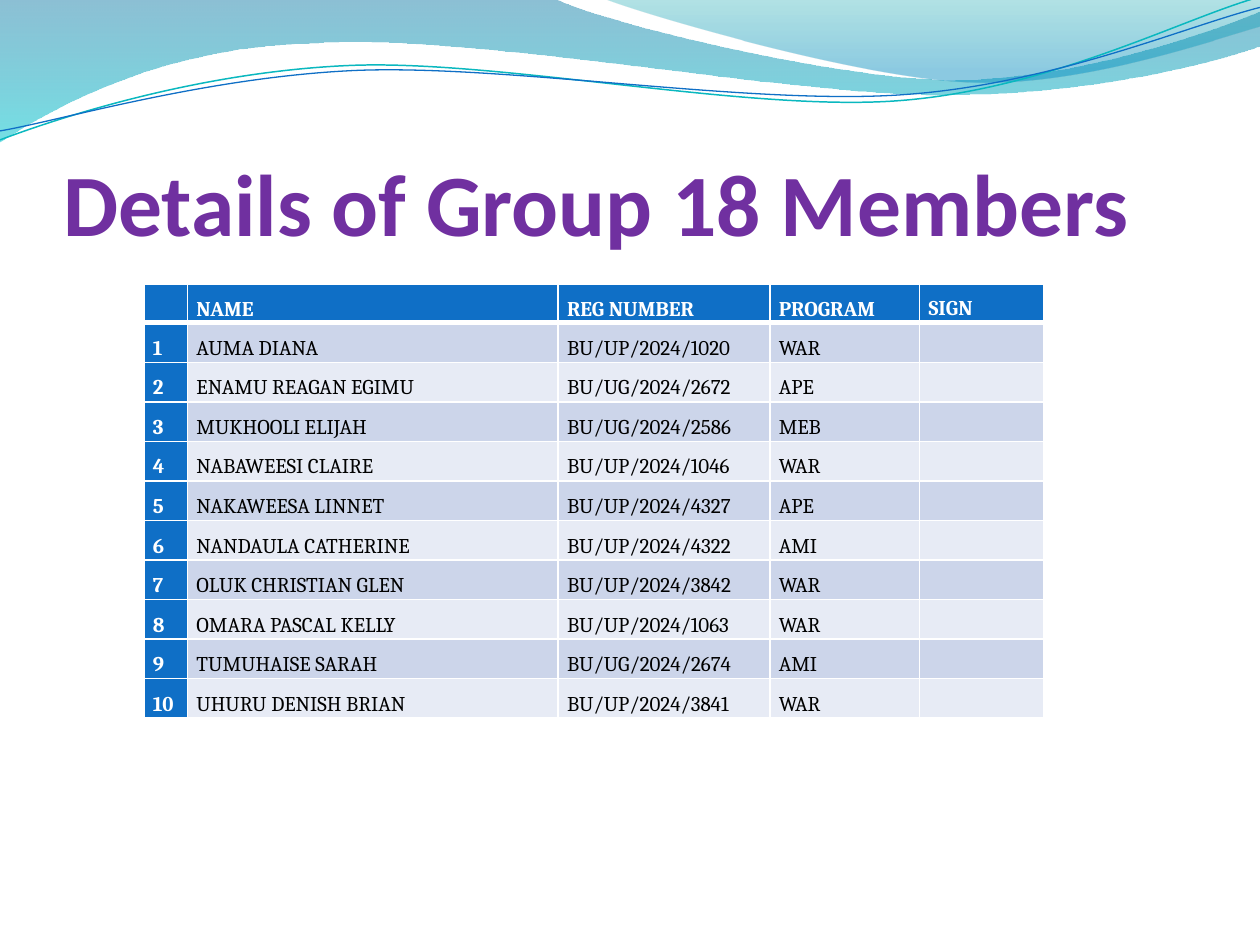
from dataclasses import dataclass
from math import cos, radians, sin
from typing import NamedTuple

from lxml import etree
from pptx import Presentation
from pptx.dml.color import RGBColor
from pptx.enum.text import MSO_ANCHOR, MSO_AUTO_SIZE, PP_ALIGN
from pptx.oxml.ns import qn
from pptx.util import Cm, Pt

TOP, MIDDLE, BOTTOM = MSO_ANCHOR.TOP, MSO_ANCHOR.MIDDLE, MSO_ANCHOR.BOTTOM
LEFT, JUSTIFY = PP_ALIGN.LEFT, PP_ALIGN.JUSTIFY
NO_AUTOFIT = MSO_AUTO_SIZE.NONE
TITLE_ONLY = 5


@dataclass(frozen=True)
class Theme:
    title_font: str = "Calibri"
    table_font: str = "Cambria"
    title_size: float = 50
    table_size: float = 12
    purple: str = "7030A0"
    blue: str = "0F6FC6"
    teal: str = "0AB8BF"
    band_dark: str = "CCD5EA"
    band_light: str = "E7EBF5"
    white: str = "FFFFFF"
    black: str = "000000"
    thin_border: float = 1
    header_border: float = 3


THEME = Theme()


class Stop(NamedTuple):
    position: float
    color: str
    opacity: int


class Wave(NamedTuple):
    start: tuple
    segments: list
    stops: tuple


class Ripple(NamedTuple):
    start: tuple
    segments: list
    center: tuple
    color: str
    width: float


class Member(NamedTuple):
    name: str
    reg_number: str
    program: str


WAVES = [
    Wave((0, 0), [
        [(11.18, -0.03)],
        [(12.09, 0.43), (16.87, 1.6), (19.25, 1.6)],
        [(21.67, 1.6), (24.33, 0.66), (25.4, 0.23)],
        [(25.43, 0.91)],
        [(24.97, 1.12), (22.1, 1.93), (18.95, 1.91)],
        [(15.8, 1.91), (9.7, 0.71), (6.53, 0.86)],
        [(3.28, 0.91), (1.17, 2.11), (-0.03, 2.87)],
        [(0, 0)],
    ], (Stop(0, "0074A1", 45), Stop(1, "00C6CF", 55))),
    Wave((12.17, -0.03), [
        [(12.93, 0.28), (17.32, 1.57), (19.53, 1.65)],
        [(21.74, 1.75), (24.41, 0.81), (25.4, 0.53)],
        [(25.4, 0)],
        [(12.17, -0.03)],
    ], (Stop(0, "00A1A9", 30), Stop(0.8, "008BBF", 45))),
]

RIPPLE_TILT = 2.7
RIPPLES = [
    Ripple((0, 2.82), [
        [(1.22, 2.36), (4.01, 1.45), (7.04, 1.32)],
        [(10.03, 1.19), (15.06, 2.26), (18.11, 2.03)],
        [(21.16, 1.8), (23.83, 0.38), (25.35, -0.05)],
    ], (12.67, 1.46), THEME.teal, 0.85),
    Ripple((0, 2.64), [
        [(1.19, 2.44), (4.17, 1.55), (7.19, 1.42)],
        [(10.24, 1.3), (15.16, 2.13), (18.21, 1.91)],
        [(21.23, 1.7), (23.9, 0.53), (25.4, 0.15)],
    ], (12.69, 1.5), THEME.blue, 0.75),
]

HEADINGS = ["", "NAME", "REG NUMBER", "PROGRAM", "SIGN"]
COLUMN_WIDTHS = [0.88, 7.47, 4.27, 3.02, 2.51]
MEMBERS = [
    Member("AUMA DIANA", "BU/UP/2024/1020", "WAR"),
    Member("ENAMU REAGAN EGIMU", "BU/UG/2024/2672", "APE"),
    Member("MUKHOOLI ELIJAH", "BU/UG/2024/2586", "MEB"),
    Member("NABAWEESI CLAIRE", "BU/UP/2024/1046", "WAR"),
    Member("NAKAWEESA LINNET", "BU/UP/2024/4327", "APE"),
    Member("NANDAULA CATHERINE", "BU/UP/2024/4322", "AMI"),
    Member("OLUK CHRISTIAN GLEN", "BU/UP/2024/3842", "WAR"),
    Member("OMARA PASCAL KELLY", "BU/UP/2024/1063", "WAR"),
    Member("TUMUHAISE SARAH", "BU/UG/2024/2674", "AMI"),
    Member("UHURU DENISH BRIAN", "BU/UP/2024/3841", "WAR"),
]
TABLE_HEIGHT, HEADER_HEIGHT = 8.73, 0.76
MEMBER_HEIGHT = (TABLE_HEIGHT - HEADER_HEIGHT) / len(MEMBERS)


def write_text(frame, text: str, *, font: str, size: float, color: str,
               bold: bool = False, align=LEFT, spacing: float | None = None) -> None:
    paragraph = frame.paragraphs[0]
    paragraph.alignment = align
    paragraph.line_spacing = spacing
    run = paragraph.add_run()
    run.text = text
    run.font.name = font
    run.font.size = Pt(size)
    run.font.bold = bold
    run.font.color.rgb = RGBColor.from_string(color)


def turn(point: tuple, center: tuple, degrees: float) -> tuple:
    dx, dy = point[0] - center[0], point[1] - center[1]
    cosine, sine = cos(radians(degrees)), sin(radians(degrees))
    return center[0] + dx * cosine - dy * sine, center[1] + dx * sine + dy * cosine


def add_outline(slide, start: tuple, segments: list, close: bool):
    builder = slide.shapes.build_freeform(Cm(start[0]), Cm(start[1]))
    corners = [(Cm(x), Cm(y)) for segment in segments for x, y in segment]
    builder.add_line_segments(corners, close=close)
    outline = builder.convert_to_shape()
    outline.shadow.inherit = False
    strokes = iter(list(outline._element.iter(qn("a:lnTo"))))
    for segment in segments:
        parts = [next(strokes) for _ in segment]
        if len(parts) == 3:
            curve = etree.Element(qn("a:cubicBezTo"))
            parts[0].addprevious(curve)
            for part in parts:
                curve.append(part[0])
                part.getparent().remove(part)
    return outline


def add_wave(slide, wave: Wave) -> None:
    outline = add_outline(slide, wave.start, wave.segments, close=True)
    outline.line.fill.background()
    outline.fill.gradient()
    outline.fill.gradient_angle = 270
    for gradient_stop, stop in zip(outline.fill.gradient_stops, wave.stops):
        gradient_stop.position = stop.position
        gradient_stop.color.rgb = RGBColor.from_string(stop.color)
    for color, stop in zip(outline._element.iter(qn("a:srgbClr")), wave.stops):
        etree.SubElement(color, qn("a:alpha"), val=str(stop.opacity * 1000))


def add_ripple(slide, ripple: Ripple) -> None:
    start = turn(ripple.start, ripple.center, RIPPLE_TILT)
    segments = [[turn(point, ripple.center, RIPPLE_TILT) for point in segment]
                for segment in ripple.segments]
    outline = add_outline(slide, start, segments, close=False)
    outline.rotation = -RIPPLE_TILT
    outline.fill.background()
    outline.line.color.rgb = RGBColor.from_string(ripple.color)
    outline.line.width = Pt(ripple.width)


def set_borders(cell, row: int) -> None:
    properties = cell._tc.get_or_add_tcPr()
    heavy_side = {0: "lnB", 1: "lnT"}.get(row)
    for side in ("lnL", "lnR", "lnT", "lnB"):
        width = THEME.header_border if side == heavy_side else THEME.thin_border
        border = etree.SubElement(properties, qn(f"a:{side}"), w=str(Pt(width)))
        fill = etree.SubElement(border, qn("a:solidFill"))
        etree.SubElement(fill, qn("a:srgbClr"), val=THEME.white)


def fill_cell(cell, text: str, row: int, column: int) -> None:
    is_heading = row == 0 or column == 0
    band = THEME.band_dark if row % 2 else THEME.band_light
    set_borders(cell, row)
    cell.fill.solid()
    cell.fill.fore_color.rgb = RGBColor.from_string(THEME.blue if is_heading else band)
    cell.margin_left = cell.margin_right = Cm(0.18)
    cell.margin_top = cell.margin_bottom = 0
    cell.vertical_anchor = TOP if text == "SIGN" else MIDDLE
    if text:
        write_text(cell.text_frame, text, font=THEME.table_font, size=THEME.table_size,
                   color=THEME.white if is_heading else THEME.black,
                   bold=is_heading, align=JUSTIFY, spacing=1.5)


def add_members_table(slide) -> None:
    rows = [HEADINGS] + [[str(number), *member, ""] for number, member in enumerate(MEMBERS, 1)]
    heights = [HEADER_HEIGHT] + [MEMBER_HEIGHT] * len(MEMBERS)
    table = slide.shapes.add_table(len(rows), len(HEADINGS), Cm(2.9), Cm(5.73),
                                   Cm(sum(COLUMN_WIDTHS)), Cm(TABLE_HEIGHT)).table
    for column, width in zip(table.columns, COLUMN_WIDTHS):
        column.width = Cm(width)
    for row, (texts, height) in enumerate(zip(rows, heights)):
        table.rows[row].height = Cm(height)
        for column, text in enumerate(texts):
            fill_cell(table.cell(row, column), text, row, column)


def place_title(slide) -> None:
    title = slide.shapes.title
    title.left, title.top, title.width, title.height = Cm(1.27), Cm(1.95), Cm(22.86), Cm(3.18)
    frame = title.text_frame
    frame.auto_size = NO_AUTOFIT
    frame.vertical_anchor = BOTTOM
    frame.margin_left = frame.margin_right = frame.margin_bottom = 0
    frame.margin_top = Cm(0.13)
    write_text(frame, "Details of Group 18 Members", font=THEME.title_font,
               size=THEME.title_size, color=THEME.purple, bold=True)
    slide.shapes._spTree.append(title._element)


def main() -> None:
    deck = Presentation()
    deck.slide_width, deck.slide_height = Cm(25.4), Cm(19.05)
    slide = deck.slides.add_slide(deck.slide_layouts[TITLE_ONLY])
    for wave in WAVES:
        add_wave(slide, wave)
    for ripple in RIPPLES:
        add_ripple(slide, ripple)
    place_title(slide)
    add_members_table(slide)
    deck.save("out.pptx")


if __name__ == "__main__":
    main()
